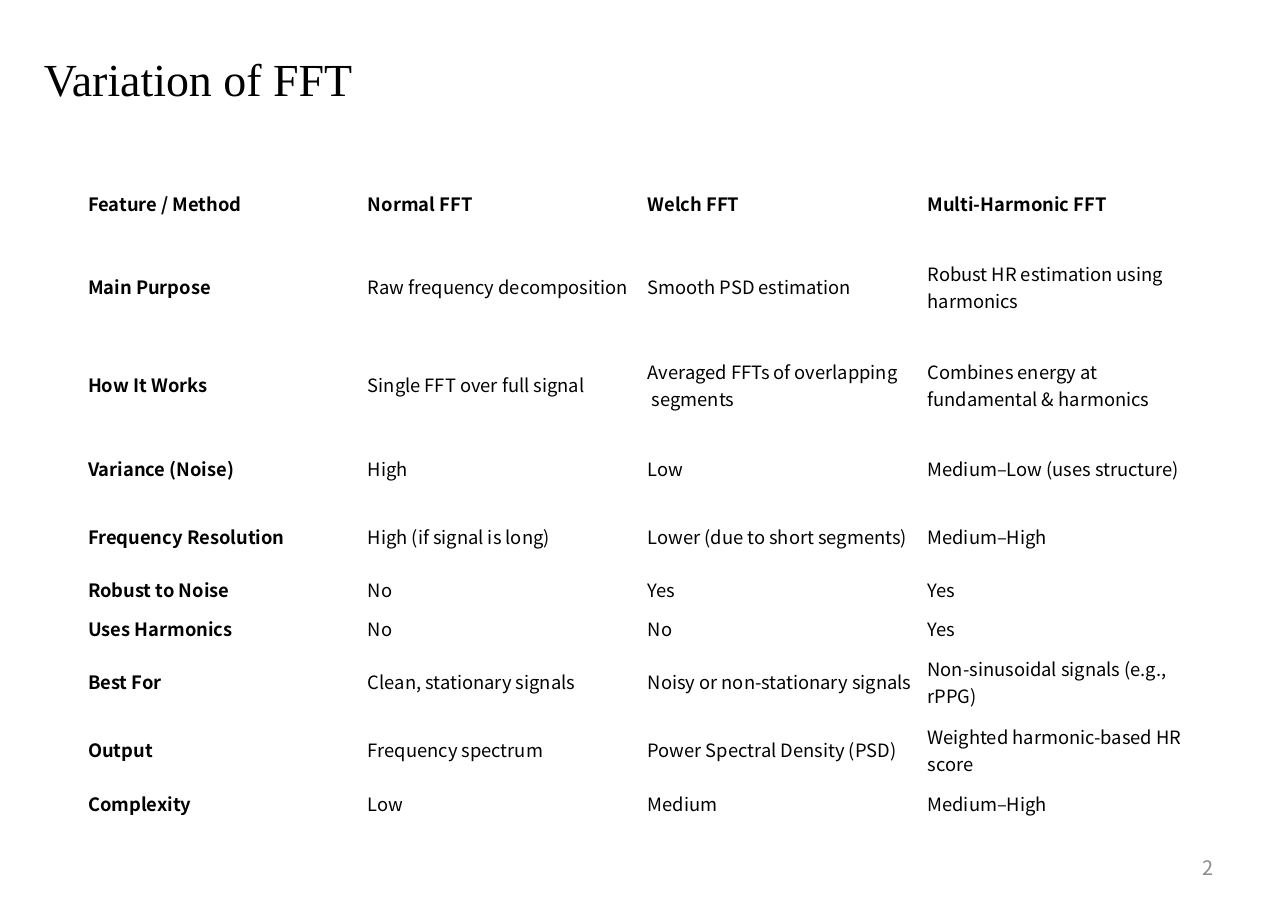
from pptx import Presentation
from pptx.dml.color import RGBColor
from pptx.enum.text import MSO_ANCHOR, PP_ALIGN
from pptx.util import Inches, Pt

MIDDLE = MSO_ANCHOR.MIDDLE
TOP = MSO_ANCHOR.TOP
LEFT = PP_ALIGN.LEFT
RIGHT = PP_ALIGN.RIGHT

TITLE_FONT = "Times New Roman"
BODY_FONT = "Noto Sans CJK KR"
COLORS = {"text": "000000", "page_number": "8C8C8C"}

COLUMN_WIDTH = 2.54
ROW_HEIGHTS = [0.62, 0.89, 0.89, 0.62, 0.62, 0.35, 0.35, 0.62, 0.62, 0.35]
COMPARISON = [
    ["Feature / Method", "Normal FFT", "Welch FFT", "Multi-Harmonic FFT"],
    ["Main Purpose", "Raw frequency decomposition", "Smooth PSD estimation",
     "Robust HR estimation using\nharmonics"],
    ["How It Works", "Single FFT over full signal",
     "Averaged FFTs of overlapping\n segments",
     "Combines energy at\nfundamental & harmonics"],
    ["Variance (Noise)", "High", "Low", "Medium–Low (uses structure)"],
    ["Frequency Resolution", "High (if signal is long)",
     "Lower (due to short segments)", "Medium–High"],
    ["Robust to Noise", "No", "Yes", "Yes"],
    ["Uses Harmonics", "No", "No", "Yes"],
    ["Best For", "Clean, stationary signals", "Noisy or non-stationary signals",
     "Non-sinusoidal signals (e.g., rPPG)"],
    ["Output", "Frequency spectrum", "Power Spectral Density (PSD)",
     "Weighted harmonic-based HR score"],
    ["Complexity", "Low", "Medium", "Medium–High"],
]


def add_run(paragraph, text, font_name, size, color, bold=False):
    run = paragraph.add_run()
    run.text = text
    run.font.name = font_name
    run.font.size = Pt(size)
    run.font.bold = bold
    run.font.color.rgb = RGBColor.from_string(COLORS[color])


def add_label(slide, box, text, font_name, size, color,
              align=LEFT, anchor=TOP, line_spacing=1.0):
    shape = slide.shapes.add_textbox(*[Inches(length) for length in box])
    frame = shape.text_frame
    frame.word_wrap = True
    frame.vertical_anchor = anchor
    paragraph = frame.paragraphs[0]
    paragraph.alignment = align
    paragraph.line_spacing = line_spacing
    add_run(paragraph, text, font_name, size, color)


def fill_cell(cell, text, bold):
    cell.fill.background()
    cell.vertical_anchor = MIDDLE
    cell.margin_left = cell.margin_right = Inches(0.07)
    cell.margin_top = cell.margin_bottom = Inches(0.04)
    frame = cell.text_frame
    for index, line in enumerate(text.split("\n")):
        paragraph = frame.add_paragraph() if index else frame.paragraphs[0]
        add_run(paragraph, line, BODY_FONT, 12, "text", bold)


def add_comparison_table(slide, left, top):
    column_count = len(COMPARISON[0])
    table = slide.shapes.add_table(
        len(COMPARISON), column_count, Inches(left), Inches(top),
        Inches(COLUMN_WIDTH * column_count), Inches(sum(ROW_HEIGHTS))).table
    table.first_row = False
    table.horz_banding = False
    for column in table.columns:
        column.width = Inches(COLUMN_WIDTH)
    for row_index, texts in enumerate(COMPARISON):
        table.rows[row_index].height = Inches(ROW_HEIGHTS[row_index])
        for column_index, text in enumerate(texts):
            is_header = row_index == 0 or column_index == 0
            fill_cell(table.cell(row_index, column_index), text, is_header)


def main():
    presentation = Presentation()
    presentation.slide_width = Inches(11.69)
    presentation.slide_height = Inches(8.27)
    slide = presentation.slides.add_slide(presentation.slide_layouts[6])

    add_label(slide, (0.3, 0.16, 9.11, 0.78), "Variation of FFT",
              TITLE_FONT, 30, "text", line_spacing=1.5)
    add_label(slide, (8.38, 7.66, 2.73, 0.44), "2",
              BODY_FONT, 13, "page_number", align=RIGHT, anchor=MIDDLE)
    add_comparison_table(slide, 0.73, 1.54)

    presentation.save("out.pptx")


if __name__ == "__main__":
    main()
